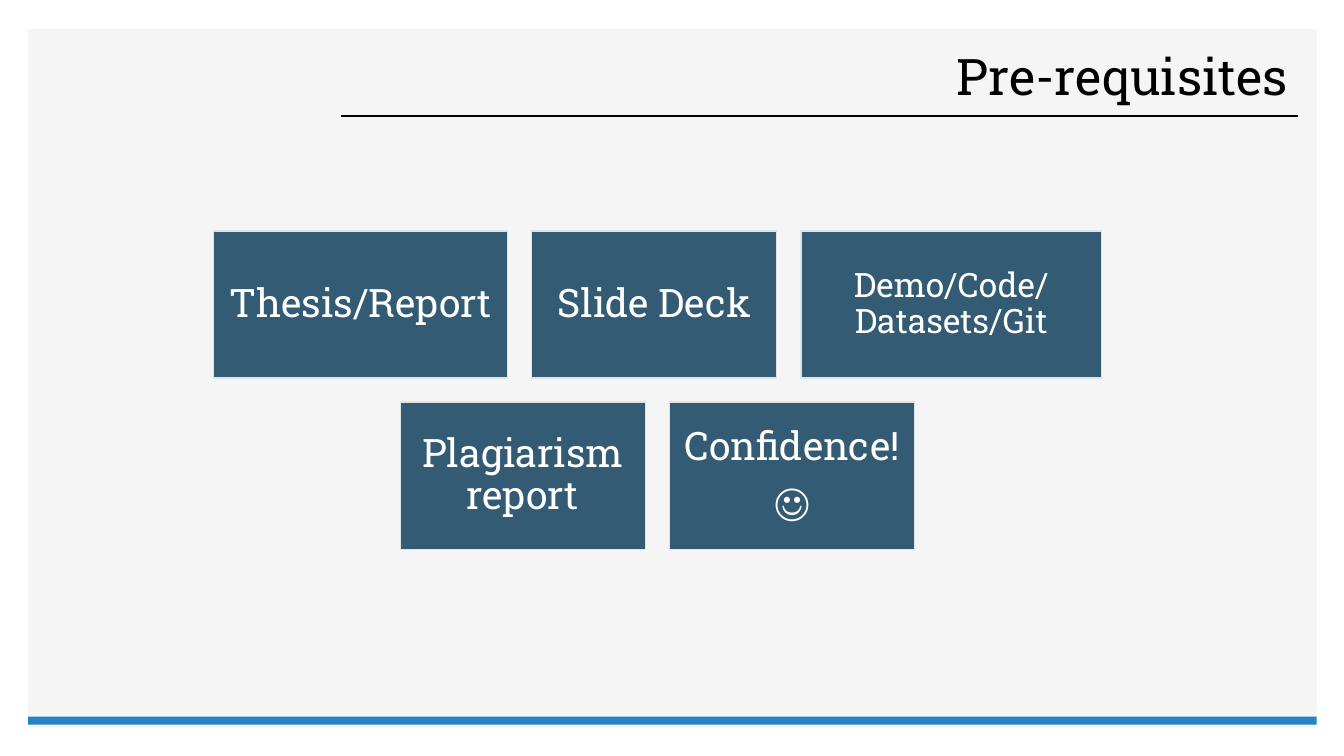
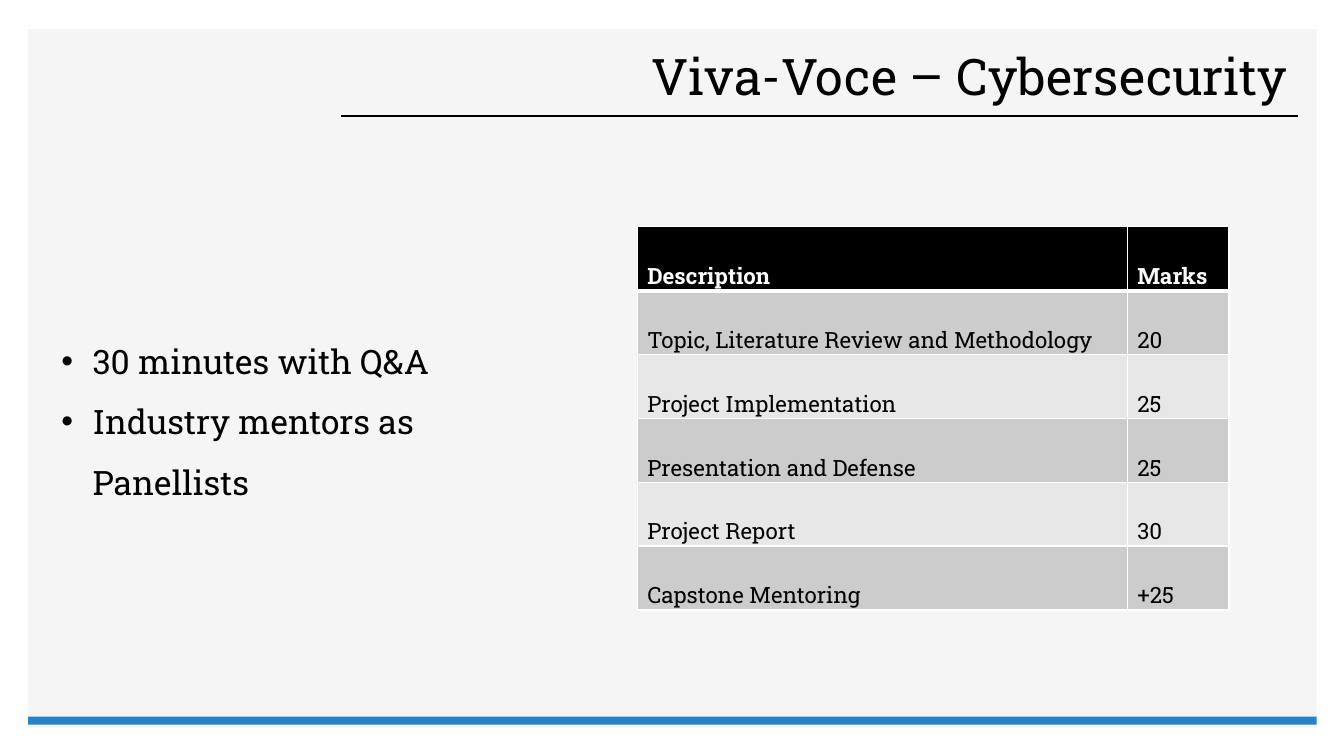
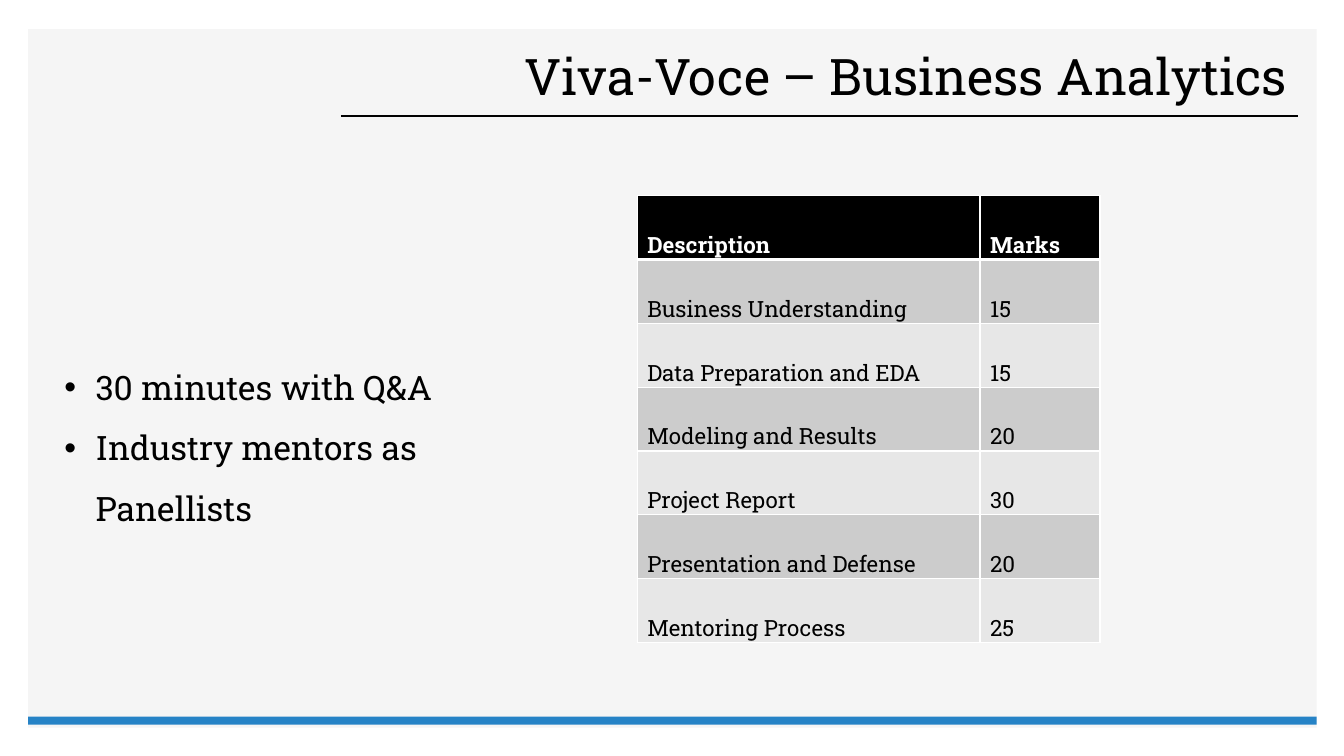
from lxml.etree import SubElement
from pptx import Presentation
from pptx.dml.color import RGBColor
from pptx.enum.shapes import MSO_CONNECTOR, MSO_SHAPE
from pptx.enum.text import MSO_ANCHOR, MSO_AUTO_SIZE, PP_ALIGN
from pptx.oxml import parse_xml
from pptx.oxml.ns import nsdecls, qn
from pptx.util import Inches, Pt

FONT = "Roboto Slab"
COLORS = {
    "panel": "F5F5F5",
    "accent": "2683C6",
    "box": "335B74",
    "box_edge": "DFE3E5",
    "black": "000000",
    "white": "FFFFFF",
    "odd_row": "CCCCCC",
    "even_row": "E7E7E7",
}

REQUIREMENTS = [
    [
        {"lines": ["Thesis/Report"], "width": 2.92},
        {"lines": ["Slide Deck"], "width": 2.43},
        {"lines": ["Demo/Code/ Datasets/Git"], "width": 2.98, "size": 24, "inset": 0.1},
    ],
    [
        {"lines": ["Plagiarism report"], "width": 2.43},
        {"lines": ["Confidence!", "☺"], "width": 2.43},
    ],
]
VIVA_POINTS = ["30 minutes with Q&A", "Industry mentors as Panellists"]
VIVAS = [
    {
        "title": "Viva-Voce – Cybersecurity",
        "points_at": (0.51, 3.13, 5.1, 1.24),
        "table_top": 2.25,
        "columns": [4.86, 1.01],
        "rows": [
            ("Description", "Marks"),
            ("Topic, Literature Review and Methodology", "20"),
            ("Project Implementation", "25"),
            ("Presentation and Defense", "25"),
            ("Project Report", "30"),
            ("Capstone Mentoring", "+25"),
        ],
    },
    {
        "title": "Viva-Voce – Business Analytics",
        "points_at": (0.54, 3.39, 5.26, 1.31),
        "table_top": 1.94,
        "columns": [3.4, 1.19],
        "rows": [
            ("Description", "Marks"),
            ("Business Understanding", "15"),
            ("Data Preparation and EDA", "15"),
            ("Modeling and Results", "20"),
            ("Project Report", "30"),
            ("Presentation and Defense", "20"),
            ("Mentoring Process", "25"),
        ],
    },
]

BOX_CENTER, BOX_TOP, BOX_HEIGHT, BOX_GAP = 6.52, 2.29, 1.46, 0.24
TABLE_LEFT, ROW_HEIGHT = 6.32, 0.63


def rgb(name):
    return RGBColor.from_string(COLORS[name])


def inches(*values):
    return [Inches(value) for value in values]


def write(paragraph, text, size, color, bold=False, spacing=0.9):
    paragraph.line_spacing = spacing
    run = paragraph.add_run()
    run.text = text
    run.font.name = FONT
    run.font.size = Pt(size)
    run.font.bold = bold
    run.font.color.rgb = rgb(color)


def paragraphs_for(frame, lines):
    for index, line in enumerate(lines):
        yield (frame.add_paragraph() if index else frame.paragraphs[0]), line


def add_rectangle(slide, at, fill, edge=None):
    shape = slide.shapes.add_shape(MSO_SHAPE.RECTANGLE, *inches(*at))
    shape.shadow.inherit = False
    shape.fill.solid()
    shape.fill.fore_color.rgb = rgb(fill)
    if edge:
        shape.line.color.rgb = rgb(edge)
        shape.line.width = Pt(1)
    else:
        shape.line.fill.background()
    return shape


def add_text_frame(slide, at):
    frame = slide.shapes.add_textbox(*inches(*at)).text_frame
    frame.word_wrap = True
    return frame


def add_slide(presentation, title):
    slide = presentation.slides.add_slide(presentation.slide_layouts[6])
    add_rectangle(slide, (0.28, 0.29, 12.78, 6.93), "panel")
    rule = slide.shapes.add_connector(MSO_CONNECTOR.STRAIGHT, *inches(3.38, 1.15, 12.87, 1.15))
    rule.line.color.rgb = rgb("black")
    rule.line.width = Pt(1)
    SubElement(rule.element.spPr, qn("a:effectLst"))
    add_rectangle(slide, (0.28, 7.11, 12.78, 0.08), "accent")
    frame = add_text_frame(slide, (3.7, 0.42, 9.17, 0.73))
    frame.vertical_anchor = MSO_ANCHOR.MIDDLE
    frame.paragraphs[0].alignment = PP_ALIGN.RIGHT
    write(frame.paragraphs[0], title, 36, "black")
    return slide


def add_requirement(slide, left, top, box):
    shape = add_rectangle(slide, (left, top, box["width"], BOX_HEIGHT), "box", "box_edge")
    frame = shape.text_frame
    frame.word_wrap = True
    frame.vertical_anchor = MSO_ANCHOR.MIDDLE
    inset = Inches(box.get("inset", 0.12))
    frame.margin_left = frame.margin_right = inset
    frame.margin_top = frame.margin_bottom = inset
    for paragraph, line in paragraphs_for(frame, box["lines"]):
        paragraph.alignment = PP_ALIGN.CENTER
        paragraph.space_after = Pt(10)
        write(paragraph, line, box.get("size", 28), "white")


def add_requirements(slide):
    for index, row in enumerate(REQUIREMENTS):
        row_width = sum(box["width"] for box in row) + BOX_GAP * (len(row) - 1)
        left = BOX_CENTER - row_width / 2
        for box in row:
            add_requirement(slide, left, BOX_TOP + index * (BOX_HEIGHT + BOX_GAP), box)
            left += box["width"] + BOX_GAP


def add_points(slide, at):
    frame = add_text_frame(slide, at)
    frame.auto_size = MSO_AUTO_SIZE.SHAPE_TO_FIT_TEXT
    for paragraph, point in paragraphs_for(frame, VIVA_POINTS):
        write(paragraph, point, 24, "black", spacing=1.5)
        properties = paragraph._p.get_or_add_pPr()
        properties.set("marL", str(Inches(0.31)))
        properties.set("indent", str(-Inches(0.31)))
        SubElement(properties, qn("a:buFont")).set("typeface", "Arial")
        SubElement(properties, qn("a:buChar")).set("char", "•")


def set_borders(cell, widths):
    properties = cell._tc.get_or_add_tcPr()
    for index, (side, width) in enumerate(widths.items()):
        border = parse_xml(
            f'<a:ln{side} {nsdecls("a")} w="{Pt(width)}"><a:solidFill>'
            f'<a:srgbClr val="{COLORS["white"]}"/></a:solidFill></a:ln{side}>'
        )
        properties.insert(index, border)


def add_marks(slide, viva):
    rows, columns = viva["rows"], viva["columns"]
    size = (sum(columns), ROW_HEIGHT * len(rows))
    table = slide.shapes.add_table(
        len(rows), len(columns), *inches(TABLE_LEFT, viva["table_top"], *size)
    ).table
    for column, width in zip(table.columns, columns):
        column.width = Inches(width)
    for row_index, row in enumerate(rows):
        header = row_index == 0
        fill = "black" if header else ("even_row", "odd_row")[row_index % 2]
        borders = {"L": 1, "R": 1, "T": 3 if row_index == 1 else 1, "B": 3 if header else 1}
        for column_index, text in enumerate(row):
            cell = table.cell(row_index, column_index)
            cell.fill.solid()
            cell.fill.fore_color.rgb = rgb(fill)
            set_borders(cell, borders)
            paragraph = cell.text_frame.paragraphs[0]
            write(paragraph, text, 16, "white" if header else "black", header, 2.0)


def main():
    presentation = Presentation()
    presentation.slide_width, presentation.slide_height = inches(13.33, 7.5)
    add_requirements(add_slide(presentation, "Pre-requisites"))
    for viva in VIVAS:
        slide = add_slide(presentation, viva["title"])
        add_points(slide, viva["points_at"])
        add_marks(slide, viva)
    presentation.save("out.pptx")


if __name__ == "__main__":
    main()
